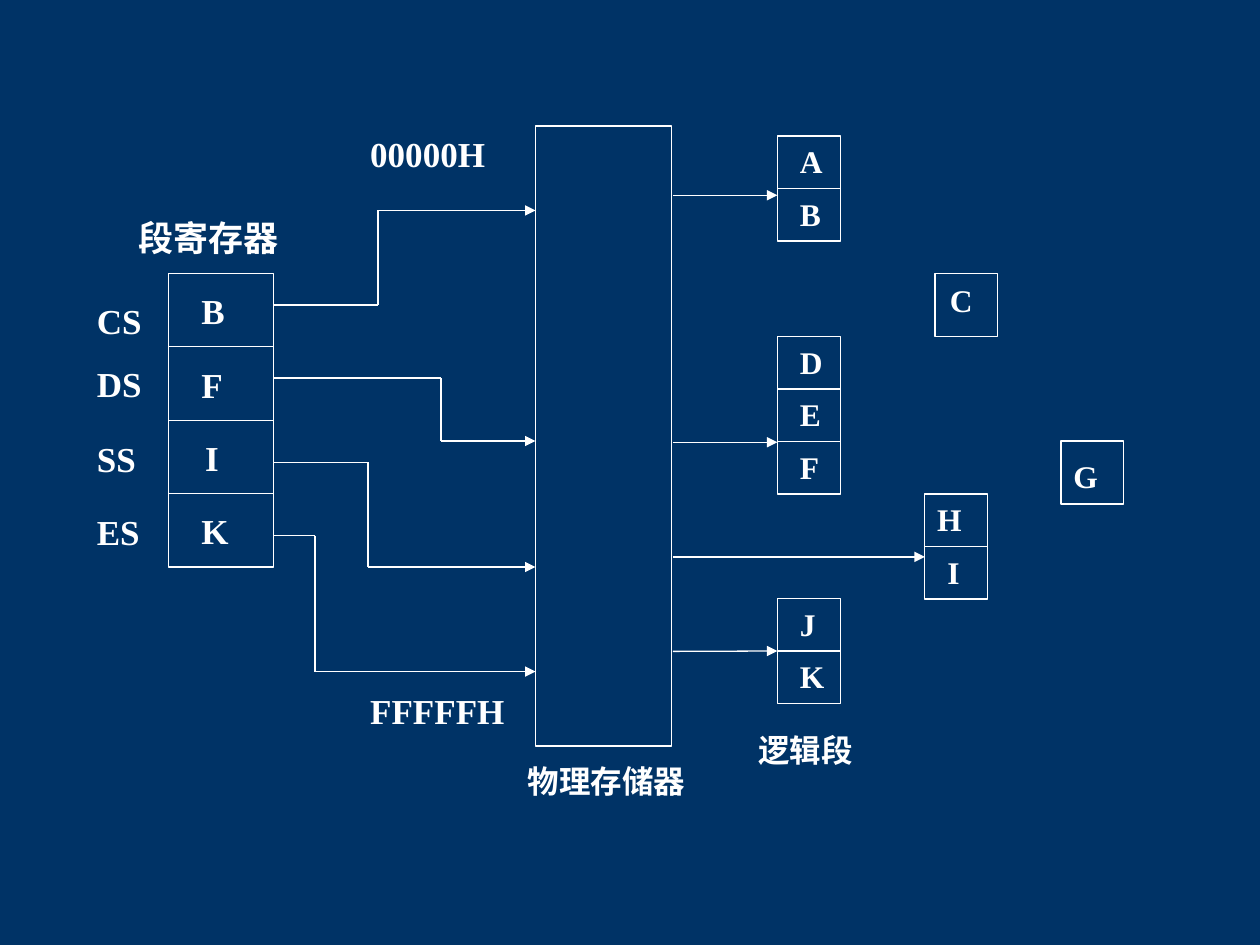
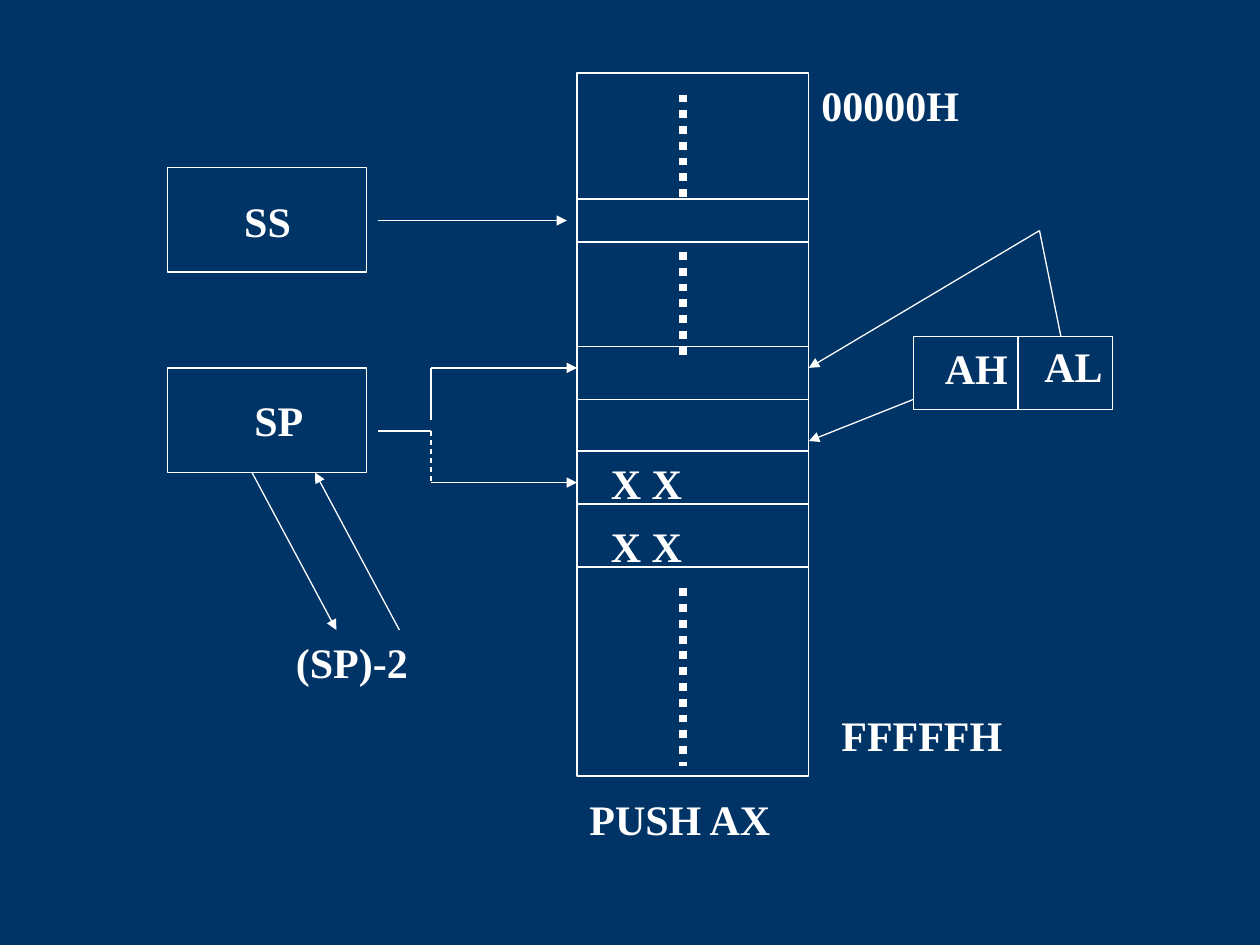
from lxml.etree import SubElement
from pptx import Presentation
from pptx.dml.color import RGBColor
from pptx.enum.dml import MSO_LINE
from pptx.enum.shapes import MSO_CONNECTOR, MSO_SHAPE
from pptx.oxml.ns import qn
from pptx.util import Inches, Pt

NAVY = RGBColor(0x00, 0x33, 0x66)
WHITE = RGBColor(0xFF, 0xFF, 0xFF)
FONT = "Times New Roman"
LINE_WIDTH = 0.75


def add_box(s, x, y, w, h):
    sp = s.shapes.add_shape(MSO_SHAPE.RECTANGLE, Inches(x), Inches(y), Inches(w), Inches(h))
    sp.shadow.inherit = False
    sp.fill.background()
    sp.line.color.rgb = WHITE
    sp.line.width = Pt(LINE_WIDTH)
    return sp


def add_line(s, start, end, arrow=False, width=LINE_WIDTH, dash=None):
    cx = s.shapes.add_connector(MSO_CONNECTOR.STRAIGHT, *map(Inches, (*start, *end)))
    cx.line.color.rgb = WHITE
    cx.line.width = Pt(width)
    if dash:
        cx.line.dash_style = dash
    if arrow:
        SubElement(cx.line._get_or_add_ln(), qn("a:tailEnd"), type="triangle")
    SubElement(cx._element.spPr, qn("a:effectLst"))
    return cx


def add_route(s, *points):
    """Join the points with straight segments, the last one with an arrowhead."""
    last = len(points) - 2
    for i, (start, end) in enumerate(zip(points, points[1:])):
        add_line(s, start, end, arrow=i == last)


def add_text(s, text, x, y, w, size=20, h=None):
    tb = s.shapes.add_textbox(Inches(x), Inches(y), Inches(w), Inches(h or size / 50 + 0.04))
    tf = tb.text_frame
    tf.word_wrap = True
    r = tf.paragraphs[0].add_run()
    r.text = text
    r.font.name = FONT
    r.font.size = Pt(size)
    r.font.bold = True
    r.font.color.rgb = WHITE


def add_stack(s, x, y, w, h, rows):
    """Draw a box split into equal rows."""
    box = add_box(s, x, y, w, h)
    for i in range(1, rows):
        row_y = y + h * i / rows
        divider = add_line(s, (x, row_y), (x + w, row_y))
        if 2 * i == rows:
            divider.begin_connect(box, 1)
            divider.end_connect(box, 3)
    return box


def add_segment(s, x, y, letters, offsets=None):
    """Draw a logical segment: one cell per letter, letters inset by offsets."""
    pitch = 1.25 / 3
    box = add_stack(s, x, y, 0.5, pitch * len(letters), len(letters))
    for i, letter in enumerate(letters):
        inset = offsets[i] if offsets else 0.08
        add_text(s, letter, x + inset, y + i * pitch, 0.33, size=18)
    return box


def build_segments_slide(prs):
    s = prs.slides.add_slide(prs.slide_layouts[6])
    memory_left, memory_right = 4.25, 5.34
    add_box(s, memory_left, 1, 1.08, 4.92)

    reg_x, reg_y, reg_w, reg_h = 1.34, 2.17, 0.83, 2.33
    add_stack(s, reg_x, reg_y, reg_w, reg_h, 4)
    registers = [("CS", 2.33, "B", 1.5), ("DS", 2.83, "F", 1.5),
                 ("SS", 3.42, "I", 1.53), ("ES", 4, "K", 1.5)]
    for i, (name, name_y, letter, letter_x) in enumerate(registers):
        add_text(s, name, 0.67, name_y, 0.67)
        add_text(s, letter, letter_x, 2.25 + i * reg_h / 4, 0.33)
    for y, bend_x, target_y in [(2.42, 3, 1.67), (3, 3.5, 3.5),
                                (3.67, 2.92, 4.5), (4.25, 2.5, 5.33)]:
        add_route(s, (reg_x + reg_w, y), (bend_x, y), (bend_x, target_y),
                  (memory_left, target_y))

    add_segment(s, 6.17, 1.08, "AB")
    add_segment(s, 6.17, 2.67, "DEF")
    add_segment(s, 7.34, 3.92, "HI", offsets=(0, 0.08))
    segment_jk = add_segment(s, 6.17, 4.75, "JK")
    for letter, x, y, letter_x, letter_y in [("C", 7.42, 2.17, 7.44, 2.18),
                                             ("G", 8.42, 3.5, 8.42, 3.58)]:
        add_box(s, x, y, 0.5, 0.5)
        add_text(s, letter, letter_x, letter_y, 0.33, size=18)

    for y, end_x in [(1.55, 6.17), (3.51, 6.17), (4.42, 7.34)]:
        add_route(s, (memory_right, y), (end_x, y))
    add_line(s, (memory_right, 5.17), (6.17, 5.17), arrow=True).end_connect(segment_jk, 1)

    add_text(s, "段寄存器", 1, 1.67, 1.33)
    add_text(s, "00000H", 2.84, 1, 1.33)
    add_text(s, "FFFFFH", 2.84, 5.42, 1.33)
    add_text(s, "物理存储器", 4.09, 6, 1.58, size=18)
    add_text(s, "逻辑段", 5.92, 5.75, 1, size=18)


def build_push_slide(prs):
    s = prs.slides.add_slide(prs.slide_layouts[6])
    left, right = 4.58, 6.42
    add_box(s, left, 0.58, right - left, 5.58)
    for y in (1.58, 1.92, 2.75, 3.17, 3.58, 4, 4.5):
        add_line(s, (left, y), (right, y))
    for top, bottom in [(0.75, 1.58), (2, 2.83), (4.67, 6.08)]:
        add_line(s, (5.42, top), (5.42, bottom), width=4.5, dash=MSO_LINE.ROUND_DOT)

    add_box(s, 1.33, 1.33, 1.58, 0.83)
    add_box(s, 1.33, 2.92, 1.58, 0.83)
    add_box(s, 7.25, 2.67, 1.58, 0.58)
    add_line(s, (8.08, 2.67), (8.08, 3.25))

    add_route(s, (3, 1.75), (4.5, 1.75))
    bend_x = 3.42
    add_line(s, (3, 3.42), (bend_x, 3.42))
    add_route(s, (bend_x, 3.33), (bend_x, 2.92), (left, 2.92))
    add_line(s, (bend_x, 3.42), (bend_x, 3.83), dash=MSO_LINE.DASH)
    add_route(s, (bend_x, 3.83), (left, 3.83))
    add_route(s, (2, 3.75), (2.67, 5))
    add_route(s, (3.17, 5), (2.5, 3.75))
    add_route(s, (7.25, 3.17), (right, 3.5))
    add_route(s, (8.42, 2.67), (8.25, 1.83), (right, 2.92))

    for text, x, y, w in [
        ("00000H", 6.42, 0.58, 1.4), ("FFFFFH", 6.58, 5.58, 1.6),
        ("PUSH AX", 4.58, 6.25, 1.83), ("SS", 1.84, 1.5, 0.7),
        ("SP", 1.92, 3.08, 0.7), ("(SP)-2", 2.25, 5, 1.25),
        ("AH", 7.4, 2.67, 0.75), ("AL", 8.19, 2.65, 0.67),
        ("X X", 4.75, 3.58, 1.27), ("X X", 4.75, 4.08, 1.27),
    ]:
        add_text(s, text, x, y, w, size=24)


def main():
    prs = Presentation()
    prs.slide_width, prs.slide_height = Inches(10), Inches(7.5)
    fill = prs.slide_master.background.fill
    fill.solid()
    fill.fore_color.rgb = NAVY
    build_segments_slide(prs)
    build_push_slide(prs)
    prs.save("out.pptx")


if __name__ == "__main__":
    main()
